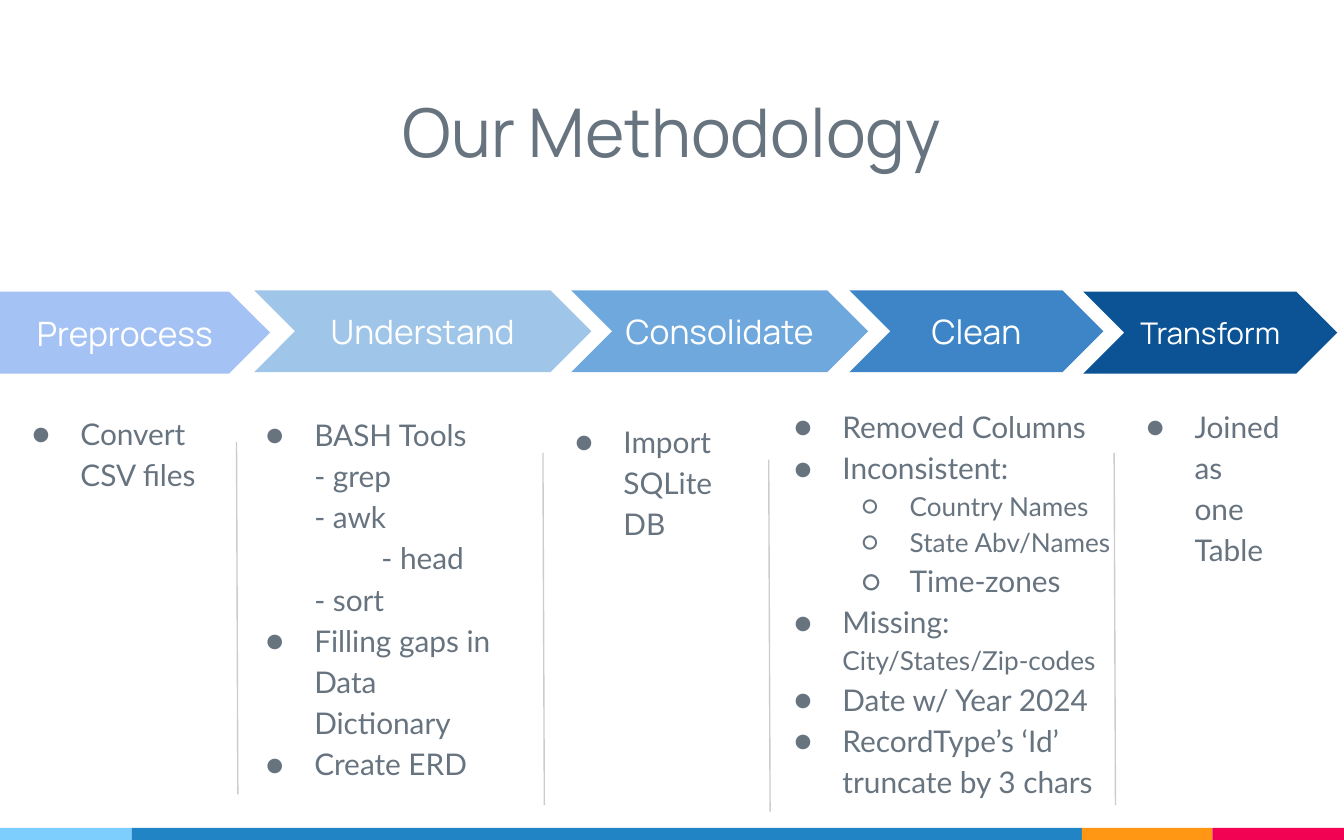
from lxml import etree
from pptx import Presentation
from pptx.dml.color import RGBColor
from pptx.enum.shapes import MSO_CONNECTOR, MSO_SHAPE
from pptx.enum.text import MSO_ANCHOR, PP_ALIGN
from pptx.oxml.ns import qn
from pptx.util import Inches, Pt

RECT, PENTAGON, CHEVRON = MSO_SHAPE.RECTANGLE, MSO_SHAPE.PENTAGON, MSO_SHAPE.CHEVRON
STRAIGHT = MSO_CONNECTOR.STRAIGHT
MIDDLE, BOTTOM, TOP = MSO_ANCHOR.MIDDLE, MSO_ANCHOR.BOTTOM, MSO_ANCHOR.TOP
CENTER = PP_ALIGN.CENTER

GREY = "677480"
HEADING, BODY = "Manrope", "Lato"

FOOTER = [(0, 0.98, "7ECEFD"), (0.98, 7.07, "2185C5"),
          (8.05, 0.97, "FF9715"), (9.02, 0.98, "F20253")]

STEPS = [
    ("Preprocess", PENTAGON, 0, 2.17, 2.01, "A4C2F4", 18),
    ("Understand", CHEVRON, 1.89, 2.16, 2.51, "9FC5E8", 18),
    ("Consolidate", CHEVRON, 4.25, 2.16, 2.21, "6FA8DC", 18),
    ("Clean", CHEVRON, 6.32, 2.16, 1.89, "3D85C6", 18),
    ("Transform", CHEVRON, 8.06, 2.17, 1.89, "0B5394", 16),
]

DIVIDERS = [(1.76, 3.29), (4.04, 3.37), (5.72, 3.42), (8.29, 3.37)]

# Each item: text, left margin, bullet, size of each line
COLUMNS = [
    ((0, 2.95, 1.72, 2.38), [("Convert\nCSV files", 0.5, "●", [16, 16])]),
    ((1.74, 2.96, 2.66, 2.95), [
        ("BASH Tools\n- grep\n- awk", 0.5, "●", [16, 16, 16]),
        ("- head", 1, None, [16]),
        ("- sort", 0.5, None, [16]),
        ("Filling gaps in\nData\nDictionary", 0.5, "●", [16, 16, 16]),
        ("Create ERD", 0.5, "●", [16]),
    ]),
    ((4.04, 3.01, 1.58, 2.38), [("Import\nSQLite\nDB", 0.5, "●", [16, 16, 16])]),
    ((5.67, 2.9, 2.91, 3.01), [
        ("Removed Columns", 0.5, "●", [16]),
        ("Inconsistent:", 0.5, "●", [16]),
        ("Country Names", 1, "○", [14]),
        ("State Abv/Names", 1, "○", [14]),
        ("Time-zones", 1, "○", [16]),
        ("Missing:\nCity/States/Zip-codes", 0.5, "●", [16, 14]),
        ("Date w/ Year 2024", 0.5, "●", [16]),
        ("RecordType’s ‘Id’\ntruncate by 3 chars", 0.5, "●", [16, 16]),
    ]),
    ((8.29, 2.9, 1.71, 2.38), [
        ("Joined", 0.5, "●", [16]),
        ("as", 0.5, None, [16]),
        ("one\nTable", 0.5, None, [16, 16]),
    ]),
]


def rgb(color):
    return RGBColor.from_string(color)


def style_run(r, font, size, color):
    r.font.name = font
    r.font.size = Pt(size)
    r.font.color.rgb = rgb(color)


def set_frame(tf, anchor):
    tf.word_wrap = True
    tf.vertical_anchor = anchor
    tf.margin_left = tf.margin_right = Inches(0.1)
    tf.margin_top = tf.margin_bottom = Inches(0.1)


def set_label(tf, text, size, color, anchor):
    set_frame(tf, anchor)
    tf.text = text
    p = tf.paragraphs[0]
    p.alignment = CENTER
    style_run(p.runs[0], HEADING, size, color)


def add_block(slide, kind, left, top, width, height, color):
    sp = slide.shapes.add_shape(kind, Inches(left), Inches(top),
                                Inches(width), Inches(height))
    sp.shadow.inherit = False
    sp.fill.solid()
    sp.fill.fore_color.rgb = rgb(color)
    sp.line.fill.background()
    return sp


def add_box(slide, left, top, width, height):
    return slide.shapes.add_textbox(Inches(left), Inches(top), Inches(width),
                                    Inches(height)).text_frame


def add_divider(slide, x, top):
    line = slide.shapes.add_connector(STRAIGHT, Inches(x), Inches(top),
                                      Inches(x + 0.01), Inches(top + 2.62))
    line.line.color.rgb = rgb("CCCCCC")
    line.line.width = Pt(0.75)
    etree.SubElement(line._element.spPr, qn("a:effectLst"))


def set_indent(p, left, bullet):
    pPr = p._p.get_or_add_pPr()
    pPr.set("marL", str(Inches(left)))
    pPr.set("indent", str(Inches(-0.36 if bullet else 0)))
    if not bullet:
        etree.SubElement(pPr, qn("a:buNone"))
        return
    clr = etree.SubElement(pPr, qn("a:buClr"))
    etree.SubElement(clr, qn("a:srgbClr"), val=GREY)
    etree.SubElement(pPr, qn("a:buFont"), typeface=BODY)
    etree.SubElement(pPr, qn("a:buChar"), char=bullet)


def add_column(slide, box, items):
    tf = add_box(slide, *box)
    set_frame(tf, TOP)
    for i, (text, left, bullet, sizes) in enumerate(items):
        p = tf.add_paragraph() if i else tf.paragraphs[0]
        p.text = text
        p.line_spacing = 1.15
        p.level = 1 if bullet == "○" else 0
        set_indent(p, left, bullet)
        for r, size in zip(p.runs, sizes):
            style_run(r, BODY, size, GREY)
        for br, size in zip(p._p.findall(qn("a:br")), sizes):
            rPr = etree.SubElement(br, qn("a:rPr"), sz=str(size * 100))
            etree.SubElement(rPr, qn("a:latin"), typeface=BODY)


def main():
    prs = Presentation()
    prs.slide_width, prs.slide_height = Inches(10), Inches(6.25)
    slide = prs.slides.add_slide(prs.slide_layouts[6])
    for left, width, color in FOOTER:
        add_block(slide, RECT, left, 6.16, width, 0.09, color)
    set_label(add_box(slide, 0, 0.33, 10, 1.04), "Our Methodology", 36, GREY, BOTTOM)
    for name, kind, left, top, width, color, size in STEPS:
        sp = add_block(slide, kind, left, top, width, 0.61, color)
        set_label(sp.text_frame, name, size, "FFFFFF", MIDDLE)
    for box, items in COLUMNS:
        add_column(slide, box, items)
    for x, top in DIVIDERS:
        add_divider(slide, x, top)
    prs.save("out.pptx")


main()
